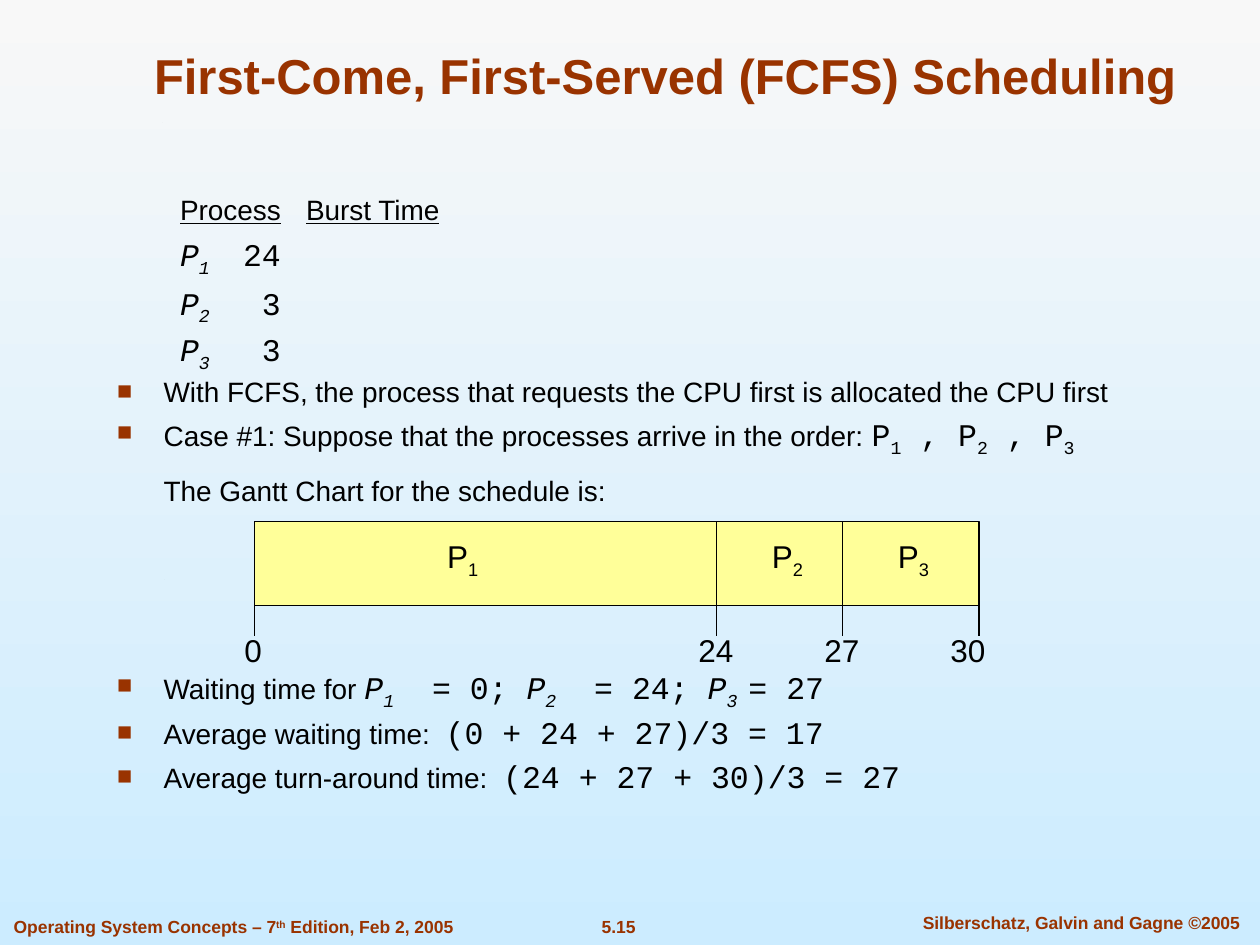
from lxml.etree import SubElement
from pptx import Presentation
from pptx.dml.color import RGBColor
from pptx.enum.shapes import MSO_CONNECTOR, MSO_SHAPE
from pptx.enum.text import MSO_ANCHOR, MSO_AUTO_SIZE, PP_ALIGN
from pptx.oxml.ns import qn
from pptx.util import Pt

COLORS = {"top": "F8F8F8", "bottom": "CCECFF", "accent": "993300", "ink": "000000", "bar": "FFFF99"}
COLORS = {name: RGBColor.from_string(value) for name, value in COLORS.items()}
SANS, MONO = "Arial", "Courier New"


def write(para, spans, size=16, color="ink", bold=False):
    """Add (text, style) spans; style letters: m mono, i italic, u underline, - subscript, + superscript."""
    for text, style in spans:
        span = para.add_run()
        span.text = text
        font = span.font
        font.name = MONO if "m" in style else SANS
        font.size = Pt(18 if "m" in style else size)
        font.color.rgb = COLORS[color]
        font.bold = bold
        font.italic = "i" in style
        font.underline = "u" in style
        if "-" in style or "+" in style:
            font._element.set("baseline", "-25000" if "-" in style else "30000")


def add_box(left, top, width, height):
    box = slide.shapes.add_textbox(Pt(left), Pt(top), Pt(width), Pt(height))
    box.text_frame.word_wrap = True
    return box.text_frame


deck = Presentation()
deck.slide_width, deck.slide_height = Pt(720), Pt(540)
slide = deck.slides.add_slide(deck.slide_layouts[5])

background = slide.background.fill
background.gradient()
background.gradient_angle = 270
for stop, name in zip(background.gradient_stops, ("top", "bottom")):
    stop.color.rgb = COLORS[name]

# Small flecks on the background
for x, y in ((126.7, 390.6), (93.6, 331.2), (92.9, 70)):
    outline = slide.shapes.build_freeform(x, y, scale=Pt(1))
    outline.add_line_segments([(x + 0.5, y - 0.3), (x + 0.3, y)])
    fleck = outline.convert_to_shape()
    fleck.shadow.inherit = False
    fleck.fill.solid()
    fleck.fill.fore_color.rgb = COLORS["ink"]
    fleck.line.fill.background()

# Title
title = slide.shapes.title
title.left, title.top, title.width, title.height = Pt(51.8), Pt(24.5), Pt(656.6), Pt(39.6)
frame = title.text_frame
frame.auto_size = MSO_AUTO_SIZE.NONE
frame.vertical_anchor = MSO_ANCHOR.BOTTOM
para = frame.paragraphs[0]
para.alignment = PP_ALIGN.CENTER
para.line_spacing = 0.93
write(para, [("First-Come, First-Served (FCFS) Scheduling", "")], 28, "accent", True)

# Footer
footers = [
    (0.7, 521, 265.7, PP_ALIGN.LEFT,
     [("Operating System Concepts – 7", ""), ("th", "+"), (" Edition, Feb 2, 2005", "")]),
    (318.2, 521, 70.6, PP_ALIGN.CENTER, [("5.15", "")]),
    (511, 518.8, 213.8, PP_ALIGN.CENTER, [("Silberschatz, Galvin and Gagne ©2005", "")]),
]
for left, top, width, align, spans in footers:
    para = add_box(left, top, width, 18.7).paragraphs[0]
    para.alignment = align
    para.line_spacing = 0.93
    write(para, spans, 10, "accent", True)

# Body: (kind, space before, spans)
INDENTS = {"row": (0, 0), "bullet": (26.64, -26.64), "plain": (26.64, 0)}
ROW_TABS = (98.64, 170.64)
body = [
    ("row", 7, [("\t", ""), ("Process", "u"), ("\t", ""), ("Burst Time", "u")]),
    ("row", 7.9, [("\t", ""), ("P", "mi"), ("1\t", "mi-"), ("24", "m")]),
    ("row", 7.9, [("\t", ""), ("P", "mi"), ("2\t", "mi-"), (" 3", "m")]),
    ("row", 7, [("\t", ""), ("P", "mi"), ("3\t", "mi-"), (" 3", "m")]),
    ("bullet", 7, [("With FCFS, the process that requests the CPU first is allocated the CPU first", "")]),
    ("bullet", 6.6, [("Case #1: Suppose that the processes arrive in the order: ", ""),
                     ("P", "m"), ("1", "m-"), (" , P", "m"), ("2", "m-"), (" , P", "m"), ("3", "m-")]),
    ("plain", 15, [("The Gantt Chart for the schedule is:", "")]),
    ("bullet", 94.5, [("Waiting time for ", ""), ("P", "mi"), ("1", "mi-"), ("  = 0; ", "m"),
                      ("P", "mi"), ("2", "mi-"), ("  = 24; ", "m"),
                      ("P", "mi"), ("3 ", "mi-"), ("= 27", "m")]),
    ("bullet", 7.9, [("Average waiting time:  ", ""), ("(0 + 24 + 27)/3 = 17", "m")]),
    ("bullet", 7.9, [("Average turn-around time:  ", ""), ("(24 + 27 + 30)/3 = 27", "m")]),
]
frame = add_box(59.8, 110, 595.4, 343.4)
for number, (kind, before, spans) in enumerate(body):
    para = frame.add_paragraph() if number else frame.paragraphs[0]
    para.line_spacing = 0.8
    para.space_before = Pt(before)
    margin, indent = INDENTS[kind]
    props = para._p.get_or_add_pPr()
    props.set("marL", str(Pt(margin)))
    props.set("indent", str(Pt(indent)))
    if kind == "row":
        tabs = SubElement(props, qn("a:tabLst"))
        for position in ROW_TABS:
            SubElement(tabs, qn("a:tab"), pos=str(Pt(position)), algn="l")
    if kind == "bullet":
        tint = SubElement(props, qn("a:buClr"))
        SubElement(tint, qn("a:srgbClr"), val=str(COLORS["accent"]))
        SubElement(props, qn("a:buSzPct"), val="90000")
        SubElement(props, qn("a:buFont"), typeface=SANS)
        SubElement(props, qn("a:buChar"), char="■")
    write(para, spans)

# Gantt chart
BAR_TOP, BAR_BOTTOM, TICK_END = 298, 346, 363.6
ticks = [("0", 145.5, 144.7), ("24", 409.5, 409), ("27", 481.5, 481), ("30", 559.5, 553)]
start, end = ticks[0][1], ticks[-1][1]
bar = slide.shapes.add_shape(MSO_SHAPE.RECTANGLE, Pt(start), Pt(BAR_TOP),
                             Pt(end - start), Pt(BAR_BOTTOM - BAR_TOP))
bar.shadow.inherit = False
bar.fill.solid()
bar.fill.fore_color.rgb = COLORS["bar"]
bar.line.color.rgb = COLORS["ink"]
bar.line.width = Pt(0.75)

segments = [(x, BAR_BOTTOM, TICK_END) for _, x, _ in ticks]
segments += [(x, BAR_TOP, BAR_BOTTOM) for _, x, _ in ticks[1:-1]]
for x, top, bottom in segments:
    line = slide.shapes.add_connector(MSO_CONNECTOR.STRAIGHT, Pt(x), Pt(top), Pt(x), Pt(bottom))
    line.line.color.rgb = COLORS["ink"]
    line.line.width = Pt(0.75)
    SubElement(line._element.spPr, qn("a:effectLst"))

LABEL_WIDTH = 48
labels = [(center, 358.6, 27.4, [(time, "")]) for time, _, center in ticks]
labels += [(center, 303.1, 30.2, [("P", ""), (number, "-")])
           for number, center in (("1", 264.4), ("2", 450), ("3", 522))]
for center, top, height, spans in labels:
    frame = add_box(center - LABEL_WIDTH / 2, top, LABEL_WIDTH, height)
    frame.vertical_anchor = MSO_ANCHOR.MIDDLE
    para = frame.paragraphs[0]
    para.alignment = PP_ALIGN.CENTER
    para.line_spacing = 0.93
    write(para, spans, 18)

deck.save("out.pptx")
